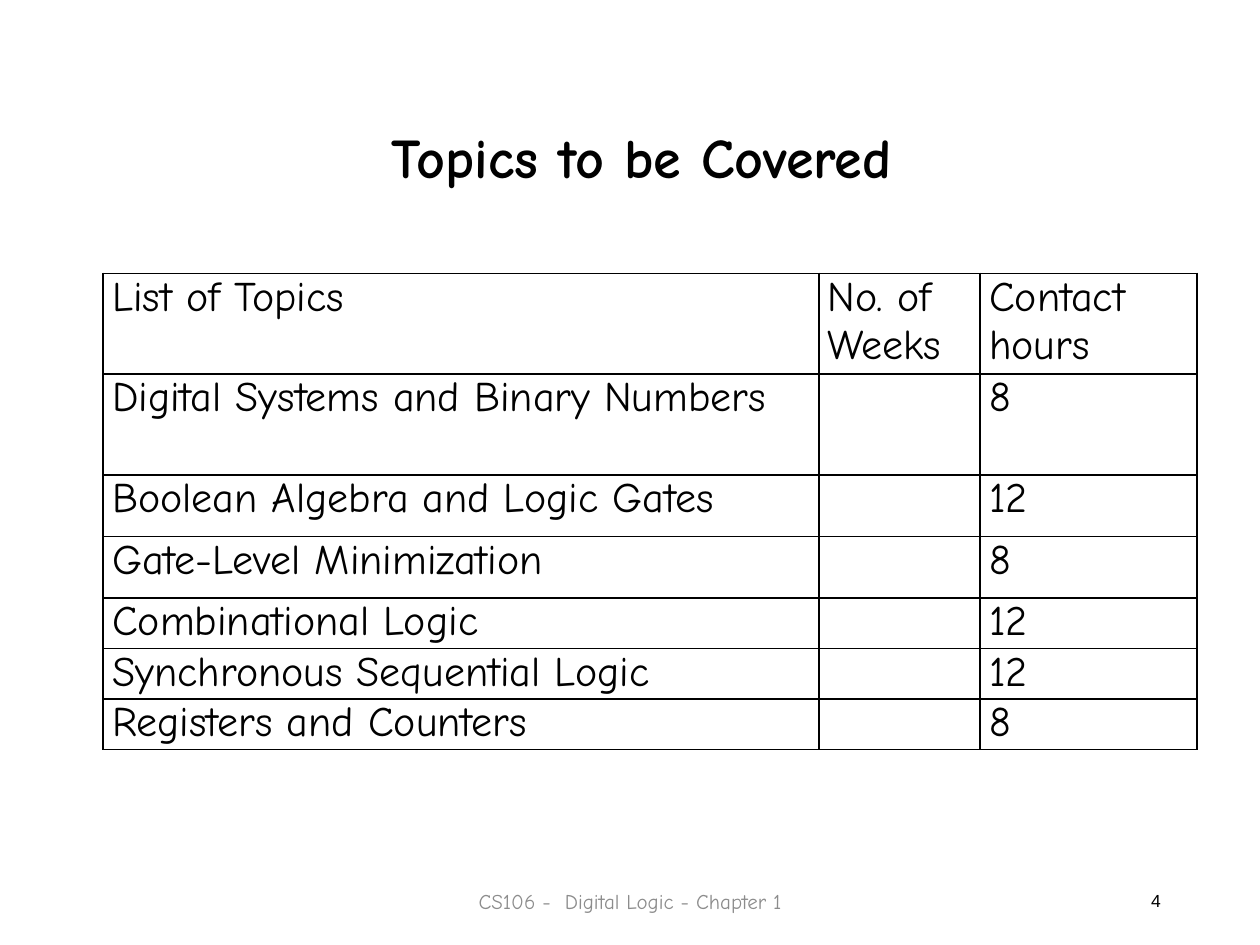
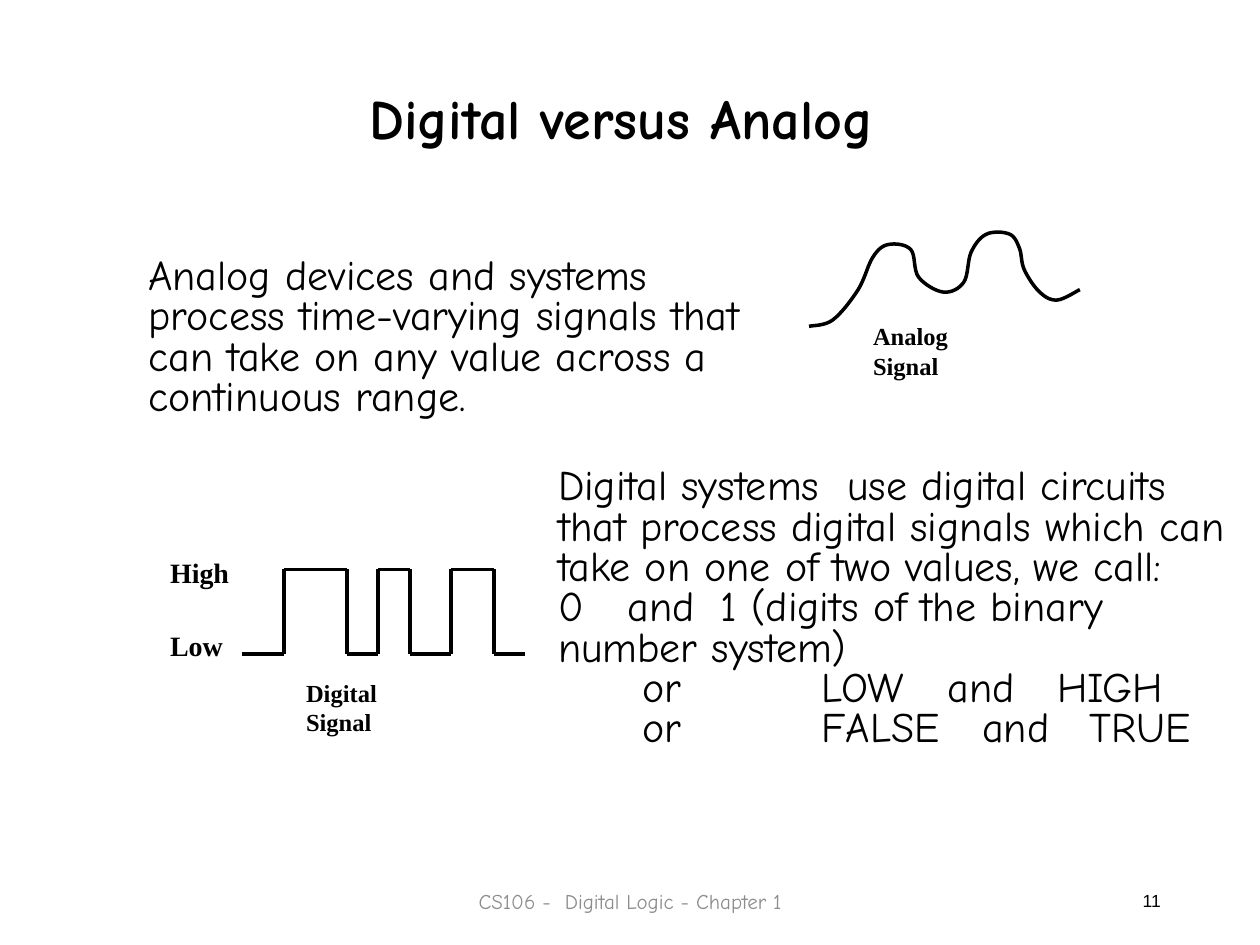
from lxml import etree
from pptx import Presentation
from pptx.dml.color import RGBColor
from pptx.enum.shapes import MSO_CONNECTOR
from pptx.enum.text import MSO_ANCHOR, PP_ALIGN
from pptx.oxml import parse_xml
from pptx.oxml.ns import nsdecls, qn
from pptx.util import Cm, Pt

LEFT, CENTER, RIGHT = PP_ALIGN.LEFT, PP_ALIGN.CENTER, PP_ALIGN.RIGHT
TOP, MIDDLE = MSO_ANCHOR.TOP, MSO_ANCHOR.MIDDLE
STRAIGHT = MSO_CONNECTOR.STRAIGHT

BLACK, GRAY = "000000", "8C8C8C"
HAND, SERIF, SANS = "Comic Neue", "Times New Roman", "Arial"
TITLE = {"size": 32, "bold": True, "align": CENTER}
LABEL = {"font": SERIF, "bold": True}
BODY = {"size": 24, "line_spacing": 0.8}
LINE_WIDTH = Pt(2)
color = RGBColor.from_string


def write_text(frame, text, size=24, font=HAND, ink=BLACK, bold=False, align=LEFT,
               line_spacing=None, space=None, tabs=()):
    """Fill a text frame, one paragraph per line; tabs are stops in cm."""
    frame.word_wrap = True
    frame.text = text
    for para in frame.paragraphs:
        para.alignment = align
        para.line_spacing = line_spacing
        if space is not None:
            para.space_before = para.space_after = Pt(space)
        for span in para.runs:
            span.font.size = Pt(size)
            span.font.name = font
            span.font.bold = bold
            span.font.color.rgb = color(ink)
    for para, stops in zip(frame.paragraphs, tabs):
        if stops:
            tab_list = etree.SubElement(para._p.get_or_add_pPr(), qn("a:tabLst"))
            for stop in stops:
                etree.SubElement(tab_list, qn("a:tab"), pos=str(Cm(stop)), algn="l")


def add_text(shapes, text, left, top, width, height, anchor=TOP, **text_format):
    box = shapes.add_textbox(Cm(left), Cm(top), Cm(width), Cm(height))
    box.text_frame.vertical_anchor = anchor
    write_text(box.text_frame, text, **text_format)


deck = Presentation()
deck.slide_width, deck.slide_height = Cm(25.4), Cm(19.05)
blank = deck.slide_layouts[6]
topics_slide, signals_slide = [deck.slides.add_slide(blank) for _ in range(2)]

for slide, number in ((topics_slide, "4"), (signals_slide, "11")):
    add_text(slide.shapes, "CS106 -  Digital Logic - Chapter 1", 8.41, 17.65, 8.59, 1.02,
             anchor=MIDDLE, size=12, ink=GRAY, align=CENTER)
    add_text(slide.shapes, number, 17.93, 17.65, 5.72, 1.02,
             anchor=MIDDLE, size=10, font=SANS, align=RIGHT)

# Topics to be covered
add_text(topics_slide.shapes, "Topics to be Covered", 1.75, 2.34, 22.38, 1.6, **TITLE)

topics = [
    ("List of Topics", "No. of Weeks", "Contact hours"),
    ("Digital Systems and Binary Numbers", "", "8"),
    ("Boolean Algebra and Logic Gates", "", "12"),
    ("Gate-Level Minimization", "", "8"),
    ("Combinational Logic", "", "12"),
    ("Synchronous Sequential Logic", "", "12"),
    ("Registers and Counters", "", "8"),
]
column_widths = [14.43, 3.25, 4.37]
row_heights = [2.03, 2.03, 1.24, 1.24, 1.02, 1.02, 1.02]
table = topics_slide.shapes.add_table(
    len(topics), len(column_widths), Cm(2.08), Cm(5.51),
    Cm(sum(column_widths)), Cm(sum(row_heights))).table
table.first_row = table.horz_banding = False
for column, width in zip(table.columns, column_widths):
    column.width = Cm(width)
for row, height, entries in zip(table.rows, row_heights, topics):
    row.height = Cm(height)
    for cell, entry in zip(row.cells, entries):
        cell.margin_left = cell.margin_right = Cm(0.18)
        cell.margin_top = cell.margin_bottom = 0
        for side in ("lnL", "lnR", "lnT", "lnB"):
            cell._tc.get_or_add_tcPr().append(parse_xml(
                f'<a:{side} {nsdecls("a")} w="{Pt(1)}"><a:solidFill>'
                f'<a:srgbClr val="{BLACK}"/></a:solidFill></a:{side}>'))
        cell.fill.background()
        write_text(cell.text_frame, entry, space=6)

# Digital versus analog
shapes = signals_slide.shapes
add_text(shapes, "Digital versus Analog", 6.55, 1.55, 11.96, 1.6, **TITLE)
add_text(shapes, "Analog devices and systems process time-varying signals that can take on "
         "any value across a continuous range.", 2.74, 5.08, 12.7, 3.53, **BODY)
add_text(shapes, "Digital systems  use digital circuits that process digital signals which "
         "can take on one of two values, we call:\n"
         "0\tand\t1 (digits of the binary number system)\n"
         "\tor\tLOW\tand\tHIGH\n"
         "\tor\tFALSE\tand\tTRUE", 11, 9.32, 14.4, 6.83,
         tabs=[(), (1.4, 3.28), (1.7, 5.32, 7.85, 10.06), (1.7, 5.32, 8.55, 10.72)], **BODY)
add_text(shapes, "Analog Signal", 17.35, 6.35, 2.9, 1.4, size=14, **LABEL)
add_text(shapes, "Digital Signal", 5.92, 13.54, 2.8, 1.4, size=14, **LABEL)

# Analog wave: a smooth (Catmull-Rom) curve through its knots
knots = [(16.31, 6.58), (16.79, 6.45), (17.3, 5.84), (17.6, 5.18), (17.91, 4.93),
         (18.36, 5.03), (18.52, 5.59), (19.02, 5.89), (19.43, 5.69), (19.58, 5.08),
         (19.89, 4.72), (20.35, 4.72), (20.55, 5), (20.65, 5.44), (20.96, 5.89),
         (21.31, 6.05), (21.77, 5.84)]
padded = [knots[0], *knots, knots[-1]]
steps = 8
curve = []
for before, start, end, after in zip(padded, padded[1:], padded[2:], padded[3:]):
    for step in range(1, steps + 1):
        t = step / steps
        curve.append([
            Cm(b + t / 2 * (c - a + t * (2 * a - 5 * b + 4 * c - d
                                         + t * (3 * b - a - 3 * c + d))))
            for a, b, c, d in zip(before, start, end, after)])
builder = shapes.build_freeform(Cm(knots[0][0]), Cm(knots[0][1]))
builder.add_line_segments(curve, close=False)
analog_wave = builder.convert_to_shape()
analog_wave.shadow.inherit = False
analog_wave.fill.background()
analog_wave.line.color.rgb = color(BLACK)
analog_wave.line.width = LINE_WIDTH

# Digital wave: the level switches at every edge
high, low = 11.48, 13.18
edges = [4.88, 5.72, 6.99, 7.62, 8.26, 9.09, 9.96, 10.59]
corners = []
for index, (left, right) in enumerate(zip(edges, edges[1:])):
    level = high if index % 2 else low
    corners += [(left, level), (right, level)]
digital_wave = shapes.add_group_shape().shapes
for (x1, y1), (x2, y2) in zip(corners, corners[1:]):
    segment = digital_wave.add_connector(STRAIGHT, Cm(x1), Cm(y1), Cm(x2), Cm(y2))
    segment.line.color.rgb = color(BLACK)
    segment.line.width = LINE_WIDTH
    etree.SubElement(segment._element.spPr, qn("a:effectLst"))
for name, top in (("High", 11.07), ("Low", 12.55)):
    add_text(digital_wave, name, 3.18, top, 1.9, 0.94, size=16, **LABEL)

deck.save("out.pptx")
